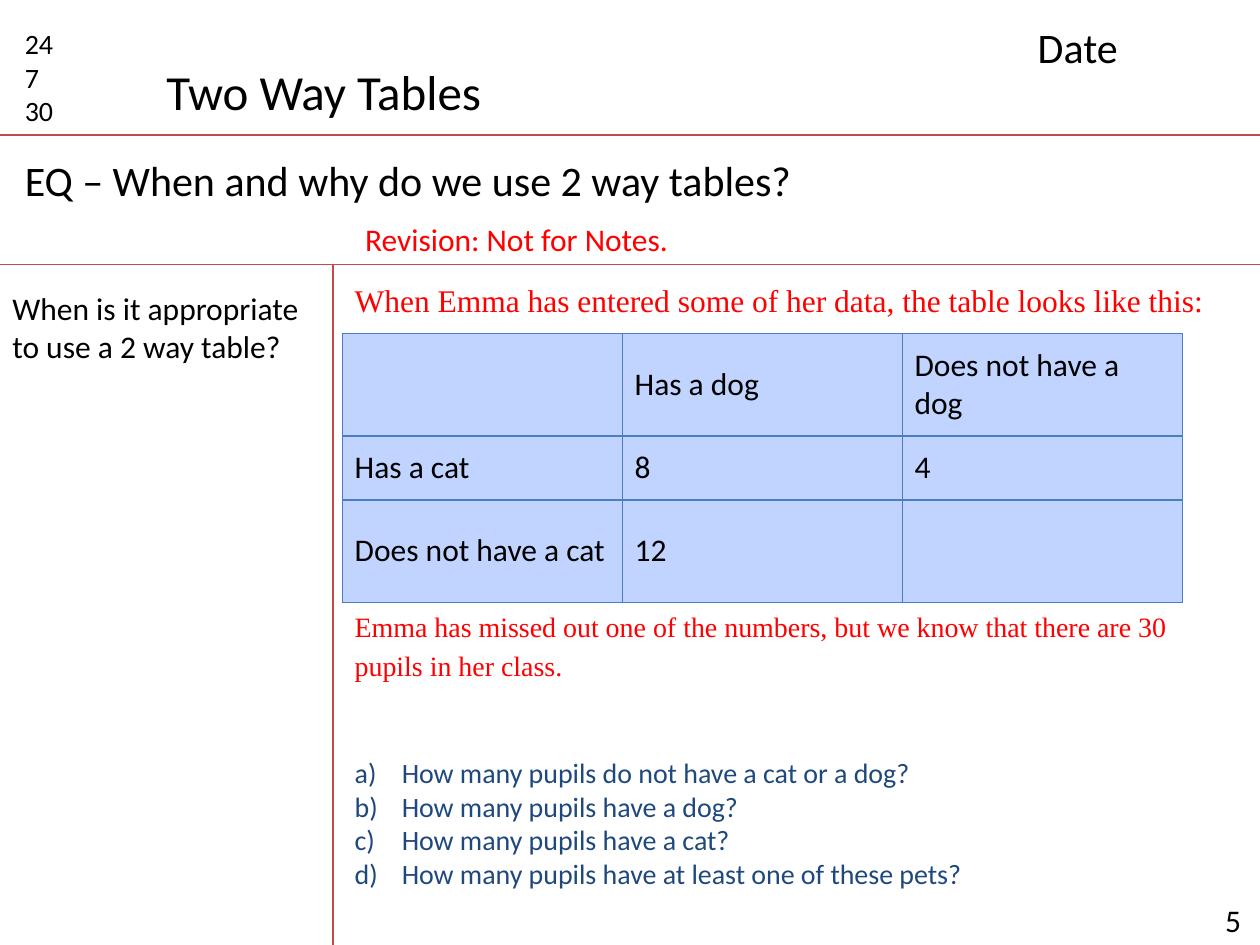
from lxml import etree
from pptx import Presentation
from pptx.dml.color import RGBColor
from pptx.enum.shapes import MSO_CONNECTOR
from pptx.enum.text import MSO_ANCHOR, MSO_AUTO_SIZE, PP_ALIGN
from pptx.oxml.ns import qn
from pptx.util import Cm, Pt

STRAIGHT = MSO_CONNECTOR.STRAIGHT
TOP, MIDDLE = MSO_ANCHOR.TOP, MSO_ANCHOR.MIDDLE
LEFT = PP_ALIGN.LEFT
NO_AUTOFIT = MSO_AUTO_SIZE.NONE

COLORS = {
    "text": "000000",
    "red": "FF0000",
    "question": "1F497D",
    "rule": "BF4C48",
    "cell": "C0D4FF",
    "border": "4B7EBC",
}
SERIF = "Times New Roman"
SLIDE_WIDTH, SLIDE_HEIGHT = 25.4, 19.05
INSET = 0.25
HEADER_BOTTOM, QUESTION_BOTTOM, MARGIN_RIGHT = 2.72, 5.33, 6.71
NOTES_LEFT, NOTES_WIDTH = 6.9, 18.0

TITLE = ("Two Way Tables", (3.1, 1.12, 6.9, 1.45))
QUESTIONS = [
    "How many pupils do not have a cat or a dog?",
    "How many pupils have a dog?",
    "How many pupils have a cat?",
    "How many pupils have at least one of these pets?",
]
# Lines of text, (left, top, width, height) in cm, format
TEXT_BOXES = [
    (["24", "7", "30"], (0.25, 0.41, 1.6, 2.31), {"size": 16}),
    (["Date"], (20.67, 0.3, 4.4, 1.27), {"size": 24}),
    (["EQ – When and why do we use 2 way tables?"],
     (0.25, 3.0, 23.95, 1.27), {"size": 24}),
    (["Revision: Not for Notes."], (7.11, 4.32, 14.4, 1.02), {"color": "red"}),
    (["When is it appropriate to use a 2 way table?"],
     (0, 5.71, 6.3, 1.8), {}),
    (["When Emma has entered some of her data, the table looks like this:"],
     (NOTES_LEFT, 5.54, NOTES_WIDTH, 1.02), {"font": SERIF, "color": "red"}),
    (["Emma has missed out one of the numbers, but we know that there are 30 "
      "pupils in her class."],
     (NOTES_LEFT, 12.12, NOTES_WIDTH, 1.7),
     {"font": SERIF, "size": 16, "color": "red", "anchor": MIDDLE,
      "line_spacing": 1.15}),
    (QUESTIONS, (NOTES_LEFT, 15.11, NOTES_WIDTH, 3.0),
     {"size": 16, "color": "question", "lettered": True}),
    (["5"], (24.45, 18.03, 0.95, 1.02), {}),
]
RULES = [
    (0, HEADER_BOTTOM, SLIDE_WIDTH, HEADER_BOTTOM),
    (0, QUESTION_BOTTOM, SLIDE_WIDTH, QUESTION_BOTTOM),
    (MARGIN_RIGHT, QUESTION_BOTTOM, MARGIN_RIGHT, SLIDE_HEIGHT),
]
PETS = [
    ["", "Has a dog", "Does not have a dog"],
    ["Has a cat", "8", "4"],
    ["Does not have a cat", "12", ""],
]
TABLE_TOP, COLUMN_WIDTH = 6.73, 5.645
ROW_HEIGHTS = [2.06, 1.29, 2.06]


def rgb(name):
    return RGBColor.from_string(COLORS[name])


def write(frame, lines, size=18, font="Calibri", color="text", anchor=TOP,
          line_spacing=None, lettered=False, wrap=True):
    frame.word_wrap = wrap
    frame.auto_size = NO_AUTOFIT
    frame.vertical_anchor = anchor
    for index, line in enumerate(lines):
        paragraph = frame.add_paragraph() if index else frame.paragraphs[0]
        paragraph.text = line
        paragraph.alignment = LEFT
        if line_spacing:
            paragraph.line_spacing = line_spacing
        if lettered:
            properties = paragraph._p.get_or_add_pPr()
            properties.set("marL", str(Cm(0.95)))
            properties.set("indent", str(Cm(-0.95)))
            etree.SubElement(properties, qn("a:buAutoNum"), type="alphaLcParenR")
        paragraph.font.size = Pt(size)
        paragraph.font.name = font
        paragraph.font.color.rgb = rgb(color)


def add_rule(slide, ends):
    rule = slide.shapes.add_connector(STRAIGHT, *map(Cm, ends))
    rule.line.color.rgb = rgb("rule")
    rule.line.width = Pt(0.75)
    etree.SubElement(rule._element.spPr, qn("a:effectLst"))


def add_borders(cell):
    """Outline a cell; borders must precede its fill in the XML."""
    properties = cell._tc.get_or_add_tcPr()
    for position, side in enumerate(("lnL", "lnR", "lnT", "lnB")):
        border = etree.Element(qn(f"a:{side}"), w=str(Pt(0.75)))
        fill = etree.SubElement(border, qn("a:solidFill"))
        etree.SubElement(fill, qn("a:srgbClr"), val=COLORS["border"])
        properties.insert(position, border)


def add_pet_table(slide):
    table = slide.shapes.add_table(
        len(PETS), len(PETS[0]), Cm(NOTES_LEFT), Cm(TABLE_TOP),
        Cm(COLUMN_WIDTH * len(PETS[0])), Cm(sum(ROW_HEIGHTS))).table
    for column in table.columns:
        column.width = Cm(COLUMN_WIDTH)
    for row, height, values in zip(table.rows, ROW_HEIGHTS, PETS):
        row.height = Cm(height)
        for cell, value in zip(row.cells, values):
            cell.fill.solid()
            cell.fill.fore_color.rgb = rgb("cell")
            cell.margin_left = cell.margin_right = Cm(INSET)
            cell.margin_top = cell.margin_bottom = Cm(INSET)
            write(cell.text_frame, [value])
            cell.vertical_anchor = MIDDLE
            add_borders(cell)


def main():
    presentation = Presentation()
    presentation.slide_width = Cm(SLIDE_WIDTH)
    presentation.slide_height = Cm(SLIDE_HEIGHT)
    slide = presentation.slides.add_slide(presentation.slide_layouts[5])

    text, place = TITLE
    title = slide.shapes.title
    title.left, title.top, title.width, title.height = map(Cm, place)
    write(title.text_frame, [text], size=28, wrap=False)

    for ends in RULES:
        add_rule(slide, ends)
    add_pet_table(slide)
    for lines, place, text_format in TEXT_BOXES:
        box = slide.shapes.add_textbox(*map(Cm, place))
        write(box.text_frame, lines, **text_format)

    presentation.save("out.pptx")


if __name__ == "__main__":
    main()
